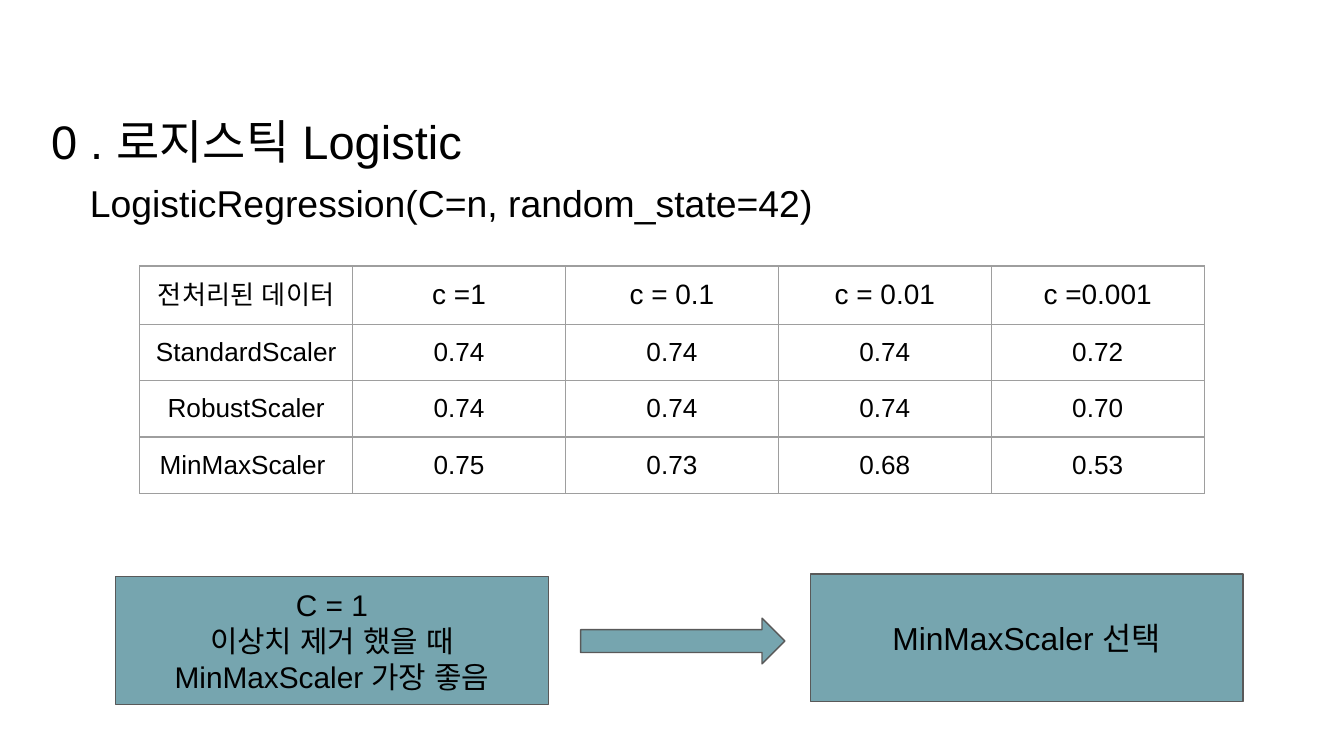
from lxml import etree
from pptx import Presentation
from pptx.dml.color import RGBColor
from pptx.enum.shapes import MSO_SHAPE
from pptx.enum.text import MSO_ANCHOR, MSO_AUTO_SIZE, PP_ALIGN
from pptx.oxml.ns import qn
from pptx.util import Inches, Pt

RECTANGLE, ARROW = MSO_SHAPE.RECTANGLE, MSO_SHAPE.RIGHT_ARROW
TOP, MIDDLE = MSO_ANCHOR.TOP, MSO_ANCHOR.MIDDLE
LEFT, CENTER = PP_ALIGN.LEFT, PP_ALIGN.CENTER
NO_AUTOFIT = MSO_AUTO_SIZE.NONE

COLORS = {"text": "000000", "teal": "76A5AF", "outline": "595959", "grid": "9E9E9E"}
FONT = "Arial"
INSET = Inches(0.1)
MARGINS = {f"margin_{side}": INSET for side in ("left", "top", "right", "bottom")}
FRAME_FORMAT = {**MARGINS, "word_wrap": True, "auto_size": NO_AUTOFIT}


def write_text(frame, lines, size, align):
    frame.text = "\n".join(lines)
    for paragraph in frame.paragraphs:
        paragraph.alignment = align
        for run in paragraph.runs:
            for key, value in {"name": FONT, "size": Pt(size), "bold": False}.items():
                setattr(run.font, key, value)
            run.font.color.rgb = RGBColor.from_string(COLORS["text"])
            for script in ("ea", "cs"):
                etree.SubElement(run._r.get_or_add_rPr(), qn(f"a:{script}"), typeface=FONT)


def format_frame(frame, anchor):
    for key, value in {**FRAME_FORMAT, "vertical_anchor": anchor}.items():
        setattr(frame, key, value)


prs = Presentation()
prs.slide_width = Inches(10)
prs.slide_height = prs.slide_width * 9 // 16
slide = prs.slides.add_slide(prs.slide_layouts[5])

heading = slide.shapes.title
heading_place = {"left": 0.28, "top": 0.74, "width": 9.32, "height": 0.63}
for key, value in heading_place.items():
    setattr(heading, key, Inches(value))
format_frame(heading.text_frame, TOP)
write_text(heading.text_frame, ["0 . 로지스틱 Logistic"], 25.2, LEFT)

model_call = slide.shapes.add_textbox(Inches(0.57), Inches(1.24), Inches(7.38), Inches(0.54))
format_frame(model_call.text_frame, TOP)
write_text(model_call.text_frame, ["LogisticRegression(C=n, random_state=42)"], 20, LEFT)

flow = [
    (RECTANGLE, (0.86, 4.29, 3.22, 0.95), ["C = 1", "이상치 제거 했을 때", "MinMaxScaler 가장 좋음"], 16),
    (ARROW, (4.32, 4.6, 1.52, 0.34), [], 16),
    (RECTANGLE, (6.03, 4.27, 3.22, 0.95), ["MinMaxScaler 선택"], 17),
]
for geometry, place, lines, size in flow:
    step = slide.shapes.add_shape(geometry, *(Inches(length) for length in place))
    step.shadow.inherit = False
    step.fill.solid()
    step.fill.fore_color.rgb = RGBColor.from_string(COLORS["teal"])
    step.line.color.rgb = RGBColor.from_string(COLORS["outline"])
    step.line.width = Pt(0.75)
    if lines:
        format_frame(step.text_frame, MIDDLE)
        write_text(step.text_frame, lines, size, CENTER)

scores = [
    ["전처리된 데이터", "c =1", "c = 0.1", "c = 0.01", "c =0.001"],
    ["StandardScaler ", "0.74", "0.74", "0.74", "0.72"],
    ["RobustScaler", "0.74", "0.74", "0.74", "0.70"],
    ["MinMaxScaler ", "0.75", "0.73", "0.68", "0.53"],
]
row_height = 0.42
score_table = slide.shapes.add_table(
    len(scores), len(scores[0]), Inches(1.04), Inches(1.98),
    Inches(7.92), Inches(row_height * len(scores)),
).table
score_table.first_row = score_table.horz_banding = False

for row, values in enumerate(scores):
    for column, value in enumerate(values):
        cell = score_table.cell(row, column)
        for key, setting in {**MARGINS, "vertical_anchor": MIDDLE}.items():
            setattr(cell, key, setting)
        write_text(cell.text_frame, [value], 15 if row == 0 and column > 0 else 14, CENTER)
        properties = cell._tc.get_or_add_tcPr()
        for edge in ("lnL", "lnR", "lnT", "lnB"):
            border = etree.SubElement(properties, qn(f"a:{edge}"), w=str(Pt(0.75)))
            border_fill = etree.SubElement(border, qn("a:solidFill"))
            etree.SubElement(border_fill, qn("a:srgbClr"), val=COLORS["grid"])
        cell.fill.background()

prs.save("out.pptx")
